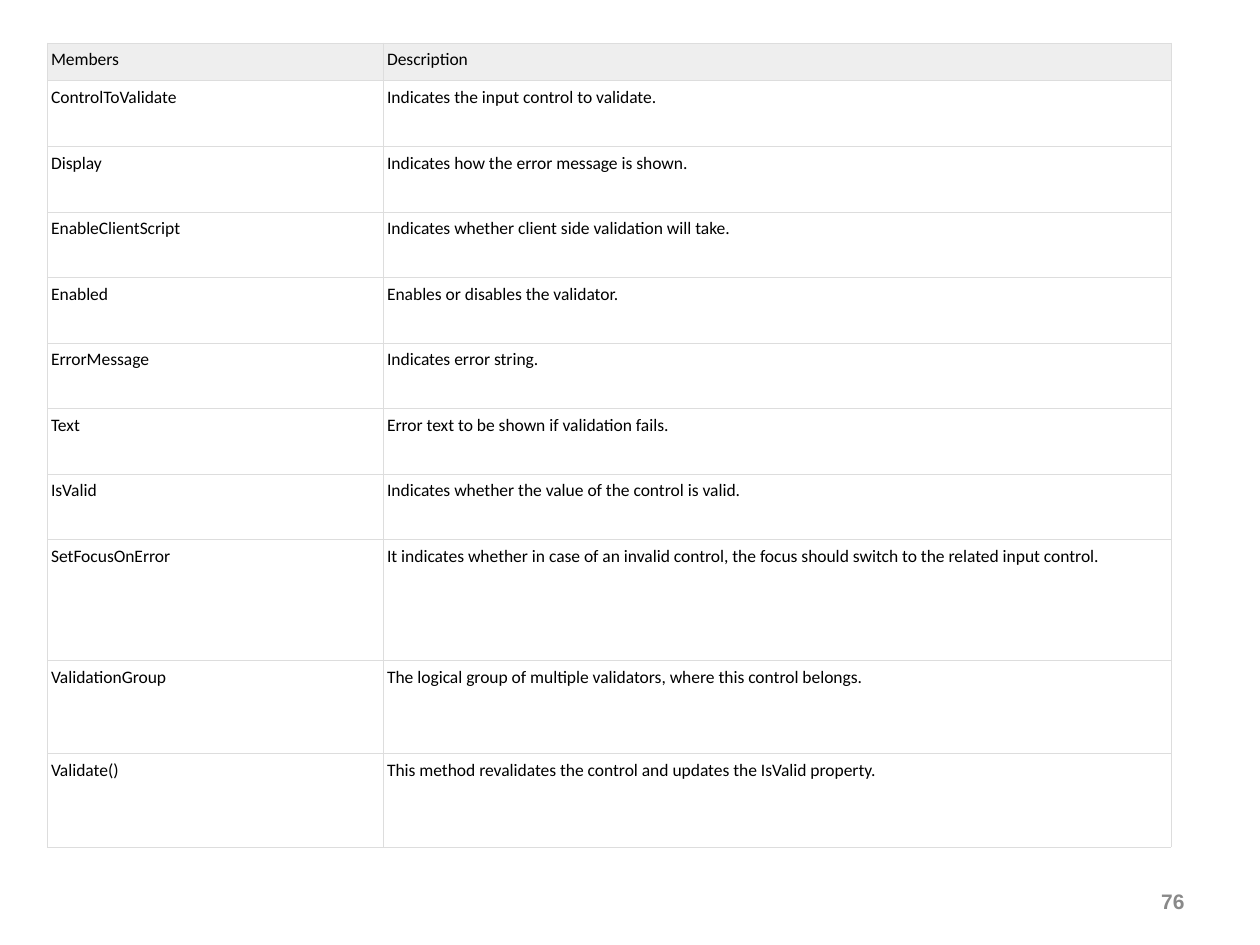
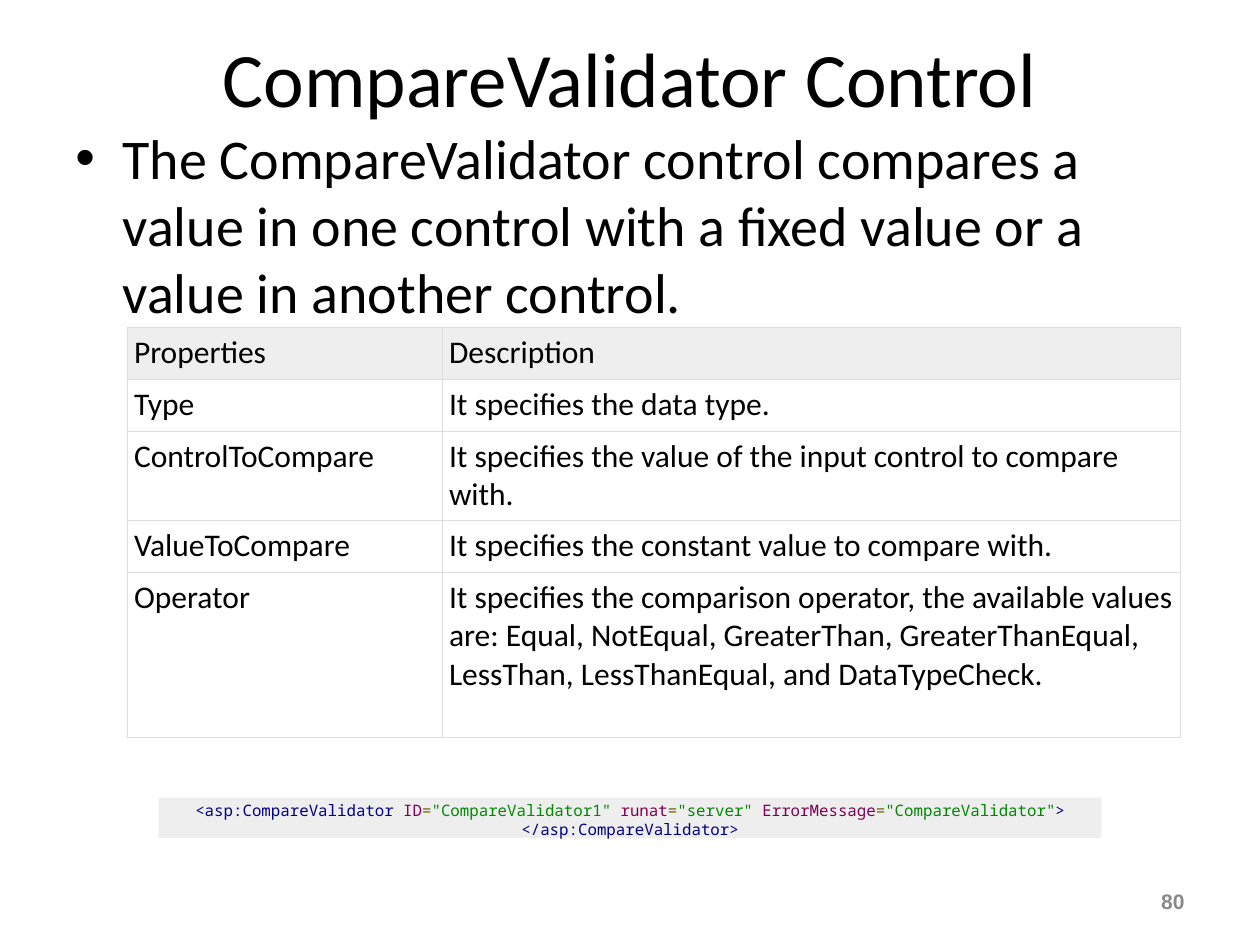
from dataclasses import dataclass

from lxml.etree import SubElement
from pptx import Presentation
from pptx.dml.color import RGBColor as RGB
from pptx.enum.shapes import MSO_SHAPE as Shape
from pptx.enum.text import MSO_ANCHOR as Anchor, PP_ALIGN as Align
from pptx.oxml.ns import qn
from pptx.util import Pt


@dataclass(frozen=True)
class Theme:
    text: str = "000000"
    band: str = "EEEEEE"
    rule: str = "DDDDDD"
    muted: str = "898989"
    tag: str = "000088"
    attribute: str = "7F0055"
    equals: str = "666600"
    string: str = "008800"
    body_font: str = "Calibri"
    number_font: str = "Arial"
    code_font: str = "Noto Sans Mono"
    title_size: int = 44
    body_size: int = 32
    table_size: int = 18
    small_table_size: int = 10
    number_size: int = 12
    code_size: int = 9
    rule_width: float = 0.25


theme = Theme()


def write(frame, runs, font, size, align=Align.LEFT, bold=False, **frame_format):
    """Fill a text frame with one paragraph of (text, colour) runs."""
    for name, value in {"word_wrap": True, **frame_format}.items():
        setattr(frame, name, value)
    paragraph = frame.paragraphs[0]
    paragraph.alignment = align
    for text, colour in runs:
        run = paragraph.add_run()
        run.text = text
        run.font.color.rgb = RGB.from_string(colour)
        for name, value in {"name": font, "size": Pt(size), "bold": bold}.items():
            setattr(run.font, name, value)
    return paragraph


def add_grid(slide, left, top, widths, heights, rows, size, side_margin):
    """Add a ruled two-column table with a shaded header row."""
    grid = slide.shapes.add_table(
        len(rows), len(widths), Pt(left), Pt(top), Pt(sum(widths)), Pt(sum(heights))
    ).table
    grid.first_row = grid.horz_banding = False
    for column, width in zip(grid.columns, widths):
        column.width = Pt(width)
    for index, (height, entries) in enumerate(zip(heights, rows)):
        grid.rows[index].height = Pt(height)
        for position, entry in enumerate(entries):
            cell = grid.cell(index, position)
            cell_format = {
                "margin_left": Pt(side_margin), "margin_right": Pt(side_margin),
                "margin_top": Pt(3.6), "margin_bottom": Pt(3.6),
                "vertical_anchor": Anchor.TOP,
            }
            for name, value in cell_format.items():
                setattr(cell, name, value)
            write(cell.text_frame, [(entry, theme.text)], theme.body_font, size)
            # Borders come before the fill in the cell properties
            properties = cell._tc.get_or_add_tcPr()
            for side in ("a:lnL", "a:lnR", "a:lnT", "a:lnB"):
                line = SubElement(properties, qn(side), w=str(Pt(theme.rule_width)))
                solid = SubElement(line, qn("a:solidFill"))
                SubElement(solid, qn("a:srgbClr"), val=theme.rule)
            if index == 0:
                cell.fill.solid()
                cell.fill.fore_color.rgb = RGB.from_string(theme.band)
            else:
                cell.fill.background()


deck = Presentation()
deck.slide_width, deck.slide_height = Pt(720), Pt(540)
blank = deck.slide_layouts[6]
members_slide, compare_slide = [deck.slides.add_slide(blank) for _ in range(2)]

# Slide numbers
for slide, number in ((members_slide, "76"), (compare_slide, "80")):
    page_number = slide.shapes.add_textbox(Pt(516.2), Pt(500.4), Pt(167.8), Pt(28.8))
    write(page_number.text_frame, [(number, theme.muted)], theme.number_font,
          theme.number_size, Align.RIGHT, True, vertical_anchor=Anchor.MIDDLE)

# Validator members
members = [
    ("Members", "Description"),
    ("ControlToValidate", "Indicates the input control to validate."),
    ("Display", "Indicates how the error message is shown."),
    ("EnableClientScript", "Indicates whether client side validation will take."),
    ("Enabled", "Enables or disables the validator."),
    ("ErrorMessage", "Indicates error string."),
    ("Text", "Error text to be shown if validation fails."),
    ("IsValid", "Indicates whether the value of the control is valid."),
    ("SetFocusOnError", "It indicates whether in case of an invalid control, the focus "
                        "should switch to the related input control."),
    ("ValidationGroup", "The logical group of multiple validators, where this control belongs."),
    ("Validate()", "This method revalidates the control and updates the IsValid property."),
]
member_heights = [21.6] + [37.45] * 7 + [69.1] + [53.3] * 2
add_grid(members_slide, 27, 24.5, [192, 450], member_heights, members,
         theme.small_table_size, 2.2)

# CompareValidator title
title = compare_slide.shapes.add_textbox(Pt(36), Pt(21.6), Pt(648), Pt(90))
write(title.text_frame, [("CompareValidator Control", theme.text)], theme.body_font,
      theme.title_size, Align.CENTER, vertical_anchor=Anchor.MIDDLE, margin_bottom=Pt(49))

# Bulleted summary
summary = compare_slide.shapes.add_textbox(Pt(36), Pt(67), Pt(648), Pt(451.4))
summary_line = write(
    summary.text_frame,
    [("The CompareValidator control compares a value in one control with a fixed value "
      "or a value in another control.", theme.text)],
    theme.body_font, theme.body_size)
bullet = summary_line._p.get_or_add_pPr()
for name, value in {"marL": Pt(27), "indent": Pt(-27)}.items():
    bullet.set(name, str(value))
SubElement(bullet, qn("a:buFont"), typeface=theme.number_font)
SubElement(bullet, qn("a:buChar"), char="•")

# CompareValidator properties
compare_properties = [
    ("Properties", "Description"),
    ("Type", "It specifies the data type."),
    ("ControlToCompare", "It specifies the value of the input control to compare with."),
    ("ValueToCompare", "It specifies the constant value to compare with."),
    ("Operator", "It specifies the comparison operator, the available values are: Equal, "
                 "NotEqual, GreaterThan, GreaterThanEqual, LessThan, LessThanEqual, "
                 "and DataTypeCheck."),
]
add_grid(compare_slide, 72.6, 187, [180, 422], [29.7, 29.7, 50.9, 29.7, 94.3],
         compare_properties, theme.table_size, 4)

# Markup sample
markup = compare_slide.shapes.add_shape(
    Shape.RECTANGLE, Pt(90.7), Pt(455.8), Pt(538.6), Pt(23))
markup.shadow.inherit = False
markup.fill.solid()
markup.fill.fore_color.rgb = RGB.from_string(theme.band)
markup.line.fill.background()
markup_runs = [("<asp:CompareValidator ", theme.tag)]
for attribute, value in (("ID", '"CompareValidator1" '), ("runat", '"server" '),
                         ("ErrorMessage", '"CompareValidator"')):
    markup_runs += [(attribute, theme.attribute), ("=", theme.equals), (value, theme.string)]
markup_runs.append(("> </asp:CompareValidator>", theme.tag))
write(markup.text_frame, markup_runs, theme.code_font, theme.code_size, Align.CENTER,
      vertical_anchor=Anchor.MIDDLE, margin_left=0, margin_right=0,
      margin_top=Pt(2), margin_bottom=0)

deck.save("out.pptx")
